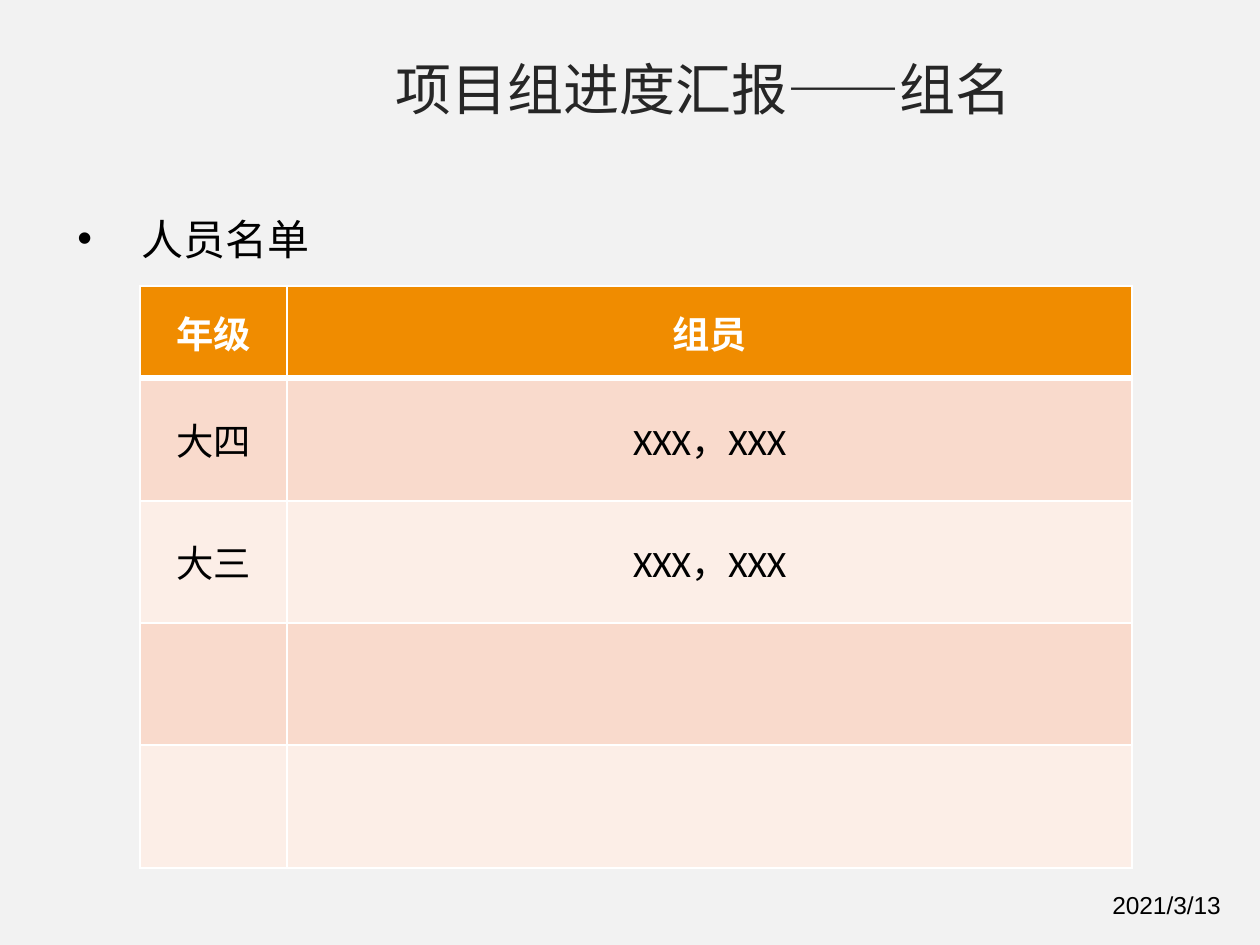
from lxml import etree
from pptx import Presentation
from pptx.dml.color import RGBColor
from pptx.enum.text import MSO_ANCHOR, MSO_AUTO_SIZE, PP_ALIGN
from pptx.oxml.ns import qn
from pptx.util import Cm, Pt

CENTER, MIDDLE = PP_ALIGN.CENTER, MSO_ANCHOR.MIDDLE
GROW = MSO_AUTO_SIZE.SHAPE_TO_FIT_TEXT
EAST_ASIAN = "Noto Sans CJK SC"

PAGE_SIZE = (19.05, 14.29)
BACKGROUND = "F2F2F2"
HEADER_FILL = "F08C00"
BAND_FILLS = ("F9DACC", "FCEEE7")
BORDER = "FFFFFF"

TITLE = dict(text="项目组进度汇报——组名", area=(5.73, 0.7, 10.06, 1.27),
             look=dict(name=EAST_ASIAN, size=Pt(24), color="262626"),
             frame=dict(word_wrap=False, auto_size=GROW))
LIST_HEADING = dict(text="人员名单", area=(0.92, 3.1, 5.21, 1.24),
                    look=dict(name=EAST_ASIAN, size=Pt(18), color="000000"),
                    frame=dict(word_wrap=True))
DATE = dict(text="2021/3/13", area=(16.57, 13.34, 2.51, 0.71),
            look=dict(name="Arial", size=Pt(10.5), color="000000"),
            frame=dict(word_wrap=True, auto_size=GROW))

MEMBERS = [("年级", "组员"), ("大四", "XXX，XXX"), ("大三", "XXX，XXX"),
           ("", ""), ("", "")]
TABLE_AREA = (2.12, 4.32, 15.0, 8.81)
COLUMN_WIDTHS = (2.22, 12.78)
HEADER_HEIGHT, ROW_HEIGHT = 1.4, 1.85
HEADER_LOOK = dict(name="Calibri", size=Pt(16), bold=True, color="FFFFFF")
MEMBER_LOOK = dict(name="Calibri", size=Pt(16), bold=False, color="000000")
CELL_FORMAT = dict(vertical_anchor=MIDDLE, margin_left=Cm(0.18), margin_right=Cm(0.18),
                   margin_top=Cm(0.1), margin_bottom=Cm(0.1))


def paint(fill, color):
    """Make a fill solid in a hex colour."""
    fill.solid()
    fill.fore_color.rgb = RGBColor.from_string(color)


def assign(target, values):
    """Set each attribute named in a dict."""
    for name, value in values.items():
        setattr(target, name, value)


def write(para, text, look):
    """Add one formatted run, with a font for Chinese characters."""
    span = para.add_run()
    span.text = text
    assign(span.font, {key: value for key, value in look.items() if key != "color"})
    paint(span.font.fill, look["color"])
    etree.SubElement(span.font._element, qn("a:ea"), typeface=EAST_ASIAN)


def add_text(page, text, area, look, frame):
    """Add a text box and return its paragraph."""
    box = page.shapes.add_textbox(*map(Cm, area))
    assign(box.text_frame, frame)
    para = box.text_frame.paragraphs[0]
    write(para, text, look)
    return para


def add_bullet(para, indent):
    """Give a paragraph a round bullet with a hanging indent."""
    para.space_before = Pt(3.6)
    properties = para._p.get_or_add_pPr()
    properties.set("marL", str(indent))
    properties.set("indent", str(-indent))
    etree.SubElement(properties, qn("a:buFont"), typeface="Arial")
    etree.SubElement(properties, qn("a:buChar"), char="•")


def add_borders(cell, widths):
    """Draw the left, right, top and bottom borders of a cell."""
    properties = cell._tc.get_or_add_tcPr()
    for place, (side, width) in enumerate(zip("LRTB", widths)):
        line = etree.Element(qn("a:ln" + side), w=str(Pt(width)))
        solid = etree.SubElement(line, qn("a:solidFill"))
        etree.SubElement(solid, qn("a:srgbClr"), val=BORDER)
        properties.insert(place, line)


def add_members(page):
    """Add the member table with a header and banded rows."""
    table = page.shapes.add_table(len(MEMBERS), len(COLUMN_WIDTHS),
                                  *map(Cm, TABLE_AREA)).table
    for column, width in zip(table.columns, COLUMN_WIDTHS):
        column.width = Cm(width)
    for index, texts in enumerate(MEMBERS):
        header = index == 0
        table.rows[index].height = Cm(HEADER_HEIGHT if header else ROW_HEIGHT)
        for cell, text in zip(table.rows[index].cells, texts):
            assign(cell, CELL_FORMAT)
            paint(cell.fill, HEADER_FILL if header else BAND_FILLS[(index - 1) % 2])
            add_borders(cell, (1, 1, 3 if index == 1 else 1, 3 if header else 1))
            para = cell.text_frame.paragraphs[0]
            para.alignment = CENTER
            if text:
                write(para, text, HEADER_LOOK if header else MEMBER_LOOK)


deck = Presentation()
deck.slide_width, deck.slide_height = map(Cm, PAGE_SIZE)
page = deck.slides.add_slide(deck.slide_layouts[6])
paint(page.background.fill, BACKGROUND)
add_bullet(add_text(page, **LIST_HEADING), Cm(0.97))
add_members(page)
add_text(page, **TITLE)
add_text(page, **DATE)
deck.save("out.pptx")
